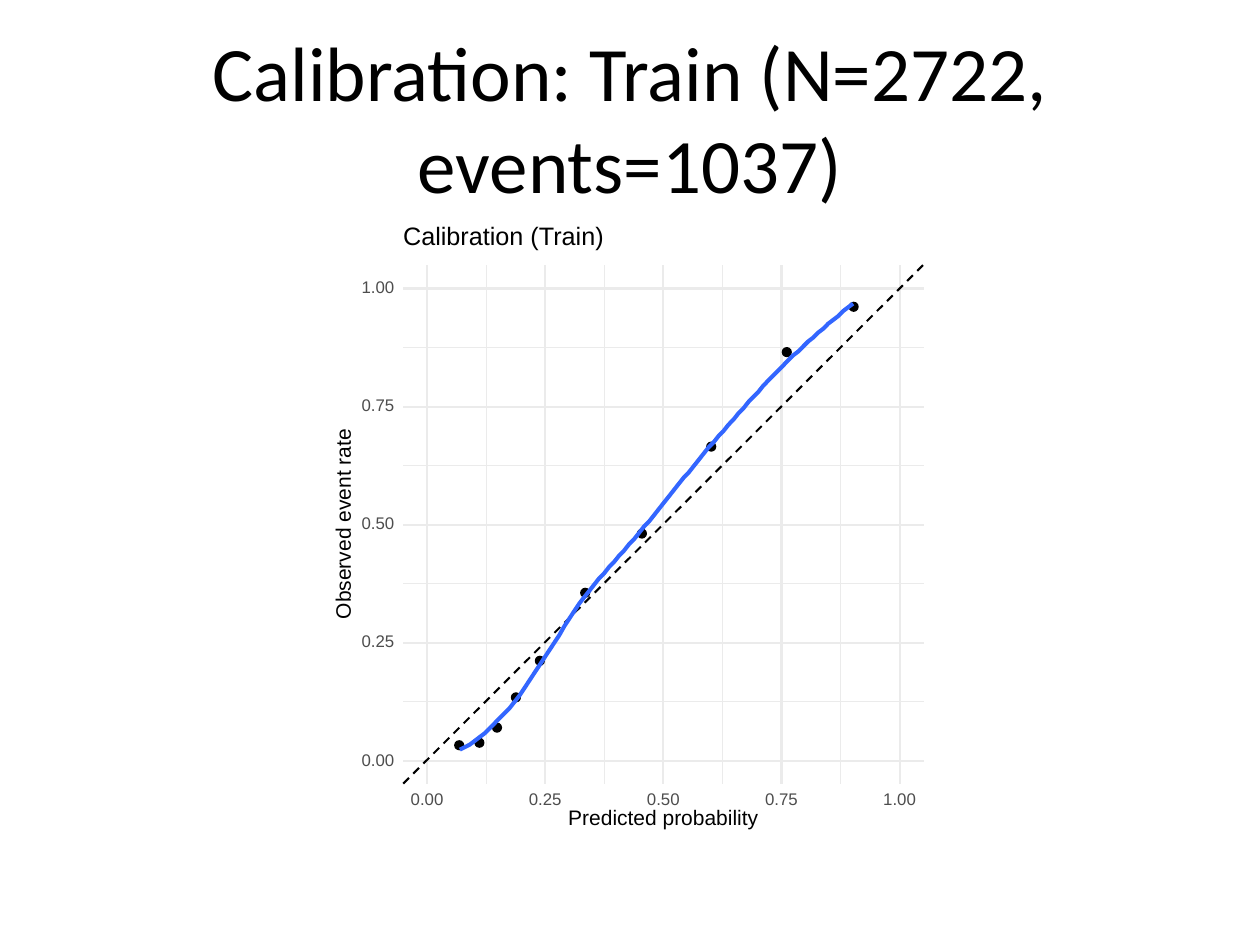
from dataclasses import dataclass

from lxml import etree
from pptx import Presentation
from pptx import util as u
from pptx.dml.color import RGBColor
from pptx.enum import dml, shapes, text
from pptx.oxml.ns import qn


@dataclass
class Theme:
    ink: str = "000000"
    paper: str = "FFFFFF"
    grid: str = "EBEBEB"
    tick: str = "4D4D4D"
    curve: str = "3366FF"
    title_font: str = "Calibri"
    plot_font: str = "Arial"
    title_size: float = 44
    heading_size: float = 14.4
    axis_size: float = 12
    tick_size: float = 9.6


theme = Theme()

deck = Presentation()
deck.slide_width, deck.slide_height = u.Inches(10), u.Inches(7.5)
page = deck.slides.add_slide(deck.slide_layouts[5])

title = page.shapes.title
title_place = {"left": 0.5, "top": 0.3, "width": 9, "height": 1.25}
for name, value in title_place.items():
    setattr(title, name, u.Inches(value))
title.text_frame.vertical_anchor = text.MSO_ANCHOR.MIDDLE
para = title.text_frame.paragraphs[0]
para.alignment = text.PP_ALIGN.CENTER
span = para.add_run()
span.text = "Calibration: Train (N=2722, events=1037)"
span.font.name, span.font.size = theme.title_font, u.Pt(theme.title_size)
span.font.color.rgb = RGBColor.from_string(theme.ink)

plot = page.shapes.add_group_shape().shapes


def add_line(x1, y1, x2, y2, color, width, dash=None):
    line = plot.add_connector(shapes.MSO_CONNECTOR.STRAIGHT,
                              *map(u.Inches, (x1, y1, x2, y2)))
    line.line.color.rgb = RGBColor.from_string(color)
    line.line.width = u.Pt(width)
    if dash:
        line.line.dash_style = dash
    etree.SubElement(line._element.spPr, qn("a:effectLst"))


def add_label(words, left, top, width, height, size, color=theme.ink, rotation=0):
    box = plot.add_textbox(*map(u.Inches, (left, top, width, height)))
    box.rotation = rotation
    frame_format = {"margin_left": 0, "margin_top": 0, "margin_right": 0,
                    "margin_bottom": 0, "word_wrap": False,
                    "vertical_anchor": text.MSO_ANCHOR.MIDDLE}
    for name, value in frame_format.items():
        setattr(box.text_frame, name, value)
    para = box.text_frame.paragraphs[0]
    para.line_spacing = u.Pt(size)
    span = para.add_run()
    span.text = words
    span.font.name, span.font.size = theme.plot_font, u.Pt(size)
    span.font.color.rgb = RGBColor.from_string(color)


# Backgrounds
for left, width, outlined in ((0.5, 9, True), (2.59, 4.82, False)):
    back = plot.add_shape(shapes.MSO_SHAPE.RECTANGLE, u.Inches(left), u.Inches(1.75),
                          u.Inches(width), u.Inches(4.95))
    back.shadow.inherit = False
    back.fill.solid()
    back.fill.fore_color.rgb = RGBColor.from_string(theme.paper)
    if outlined:
        back.line.color.rgb = RGBColor.from_string(theme.paper)
        back.line.width = u.Pt(0.75)
    else:
        back.line.fill.background()

# Panel edges, and where 0 falls on each axis; one unit is 3.75 inches
left, right, top, bottom = 3.2, 7.33, 2.1, 6.22
zero_x, zero_y, unit = 3.39, 6.04, 3.75
ticks = (0, 0.25, 0.5, 0.75, 1)
half_ticks = [tick + 0.125 for tick in ticks[:-1]]

# Grid
for values, width in ((half_ticks, 0.58), (ticks, 1.16)):
    for value in values:
        y = zero_y - value * unit
        add_line(left, y, right, y, theme.grid, width)
    for value in values:
        x = zero_x + value * unit
        add_line(x, bottom, x, top, theme.grid, width)

# Perfect calibration
add_line(left, bottom, right, top, theme.ink, 1.16, dml.MSO_LINE.DASH)

# Observed groups: left and top of each dot
dots = ((3.61, 5.88), (3.77, 5.86), (3.91, 5.74), (4.06, 5.5), (4.25, 5.21),
        (4.61, 4.67), (5.06, 4.2), (5.61, 3.51), (6.21, 2.76), (6.74, 2.4))
for x, y in dots:
    dot = plot.add_shape(shapes.MSO_SHAPE.OVAL,
                         *map(u.Inches, (x, y, 0.07, 0.07)))
    dot.shadow.inherit = False
    dot.fill.solid()
    dot.fill.fore_color.rgb = RGBColor.from_string(theme.ink)
    dot.line.color.rgb = RGBColor.from_string(theme.ink)
    dot.line.width = u.Pt(0.77)

# Smoothed curve: heights at equal steps from left to right
curve_left, curve_right = 3.65, 6.77
heights = (
    5.95, 5.93, 5.91, 5.88, 5.85, 5.82, 5.78, 5.74, 5.7, 5.66,
    5.62, 5.57, 5.52, 5.46, 5.4, 5.34, 5.28, 5.22, 5.16, 5.1,
    5.04, 4.97, 4.91, 4.85, 4.79, 4.74, 4.69, 4.64, 4.59, 4.55,
    4.5, 4.46, 4.41, 4.37, 4.32, 4.28, 4.23, 4.18, 4.14, 4.09,
    4.04, 3.99, 3.94, 3.89, 3.84, 3.79, 3.75, 3.7, 3.65, 3.6,
    3.55, 3.51, 3.46, 3.42, 3.37, 3.33, 3.28, 3.24, 3.19, 3.15,
    3.11, 3.06, 3.02, 2.98, 2.94, 2.9, 2.86, 2.82, 2.79, 2.75,
    2.71, 2.68, 2.64, 2.61, 2.57, 2.54, 2.51, 2.47, 2.44, 2.41)
step = (curve_right - curve_left) / (len(heights) - 1)
points = [(u.Inches(curve_left + i * step), u.Inches(y))
          for i, y in enumerate(heights)]
builder = plot.build_freeform(*points[0])
builder.add_line_segments(points[1:], close=False)
curve = builder.convert_to_shape()
curve.shadow.inherit = False
curve.fill.background()
curve.line.color.rgb = RGBColor.from_string(theme.curve)
curve.line.width = u.Pt(2.33)

# Labels
for tick in ticks:
    add_label(f"{tick:.2f}", 2.87, zero_y - tick * unit - 0.05, 0.26, 0.1,
              theme.tick_size, theme.tick)
for tick in ticks:
    add_label(f"{tick:.2f}", zero_x + tick * unit - 0.13, 6.3, 0.26, 0.1,
              theme.tick_size, theme.tick)
add_label("Predicted probability", 4.51, 6.43, 1.51, 0.15, theme.axis_size)
add_label("Observed event rate", 1.98, 4.1, 1.51, 0.12, theme.axis_size, rotation=270)
add_label("Calibration (Train)", left, 1.79, 1.6, 0.19, theme.heading_size)

deck.save("out.pptx")
